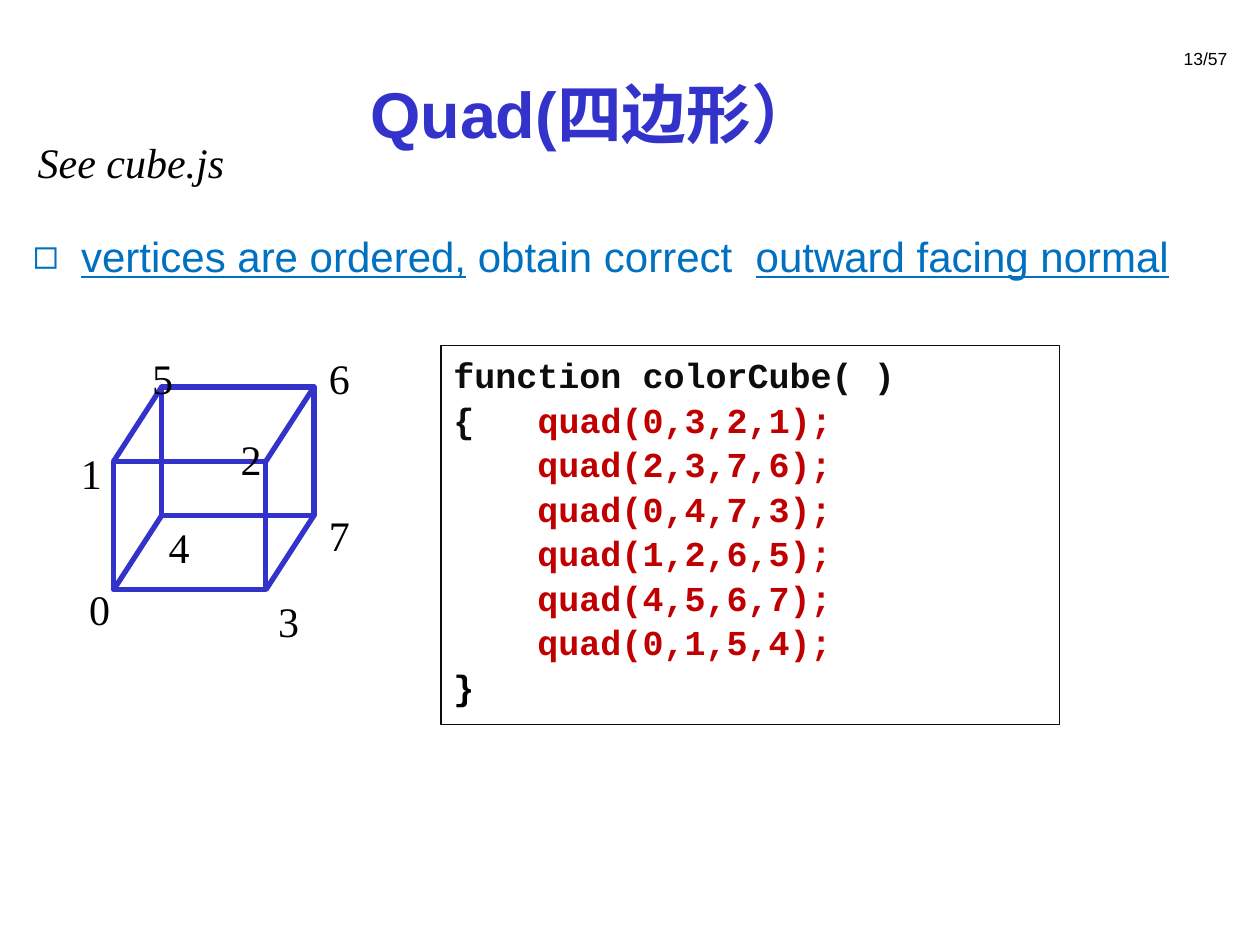
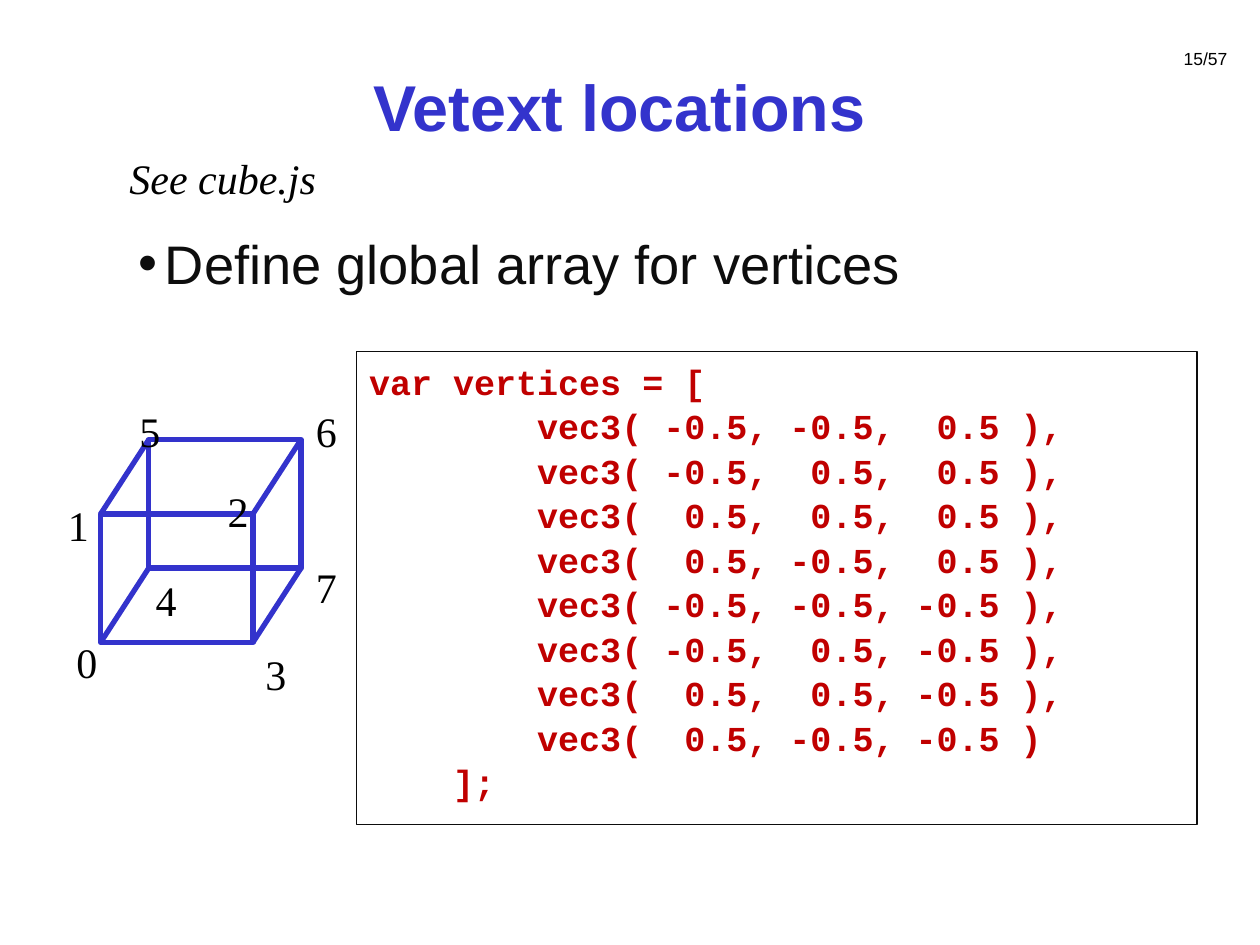
from lxml.etree import SubElement
from pptx import Presentation
from pptx.dml.color import RGBColor
from pptx.enum.shapes import MSO_CONNECTOR as CONNECTOR, MSO_SHAPE as SHAPE
from pptx.enum.text import MSO_ANCHOR as ANCHOR, MSO_AUTO_SIZE as AUTO_SIZE, PP_ALIGN as ALIGN
from pptx.oxml.ns import qn
from pptx.util import Cm, Pt

# Shared colours and text formats
BLUE = RGBColor(0x33, 0x33, 0xCC)
BRIGHT_BLUE = RGBColor(0x00, 0x70, 0xC0)
RED = RGBColor(0xC0, 0x00, 0x00)
DARK = RGBColor(0x0D, 0x0D, 0x0D)
BLACK = RGBColor(0, 0, 0)

TITLE = {"name": "Arial", "size": Pt(37), "bold": True, "color": BLUE}
PAGE = {"name": "Arial", "size": Pt(10), "color": BLACK}
LABEL = {"name": "Times New Roman", "size": Pt(24), "color": BLACK}
REFERENCE = {**LABEL, "italic": True}
CODE = {"name": "Courier New", "size": Pt(20), "bold": True, "color": DARK}
RED_CODE = {**CODE, "color": RED}
BLACK_CODE = {**CODE, "color": BLACK}
POINT = {"name": "Arial", "size": Pt(24), "color": BRIGHT_BLUE}
KEY_POINT = {**POINT, "underline": True}
LARGE_POINT = {"name": "Arial", "size": Pt(31), "color": DARK}

# Cube measures in cm, from the top left corner of the front face
CUBE_WIDTH, CUBE_HEIGHT = 3.07, 2.59
DEPTH_X, DEPTH_Y = 0.97, -1.5
VERTEX_LABELS = {
    "0": (-0.74, 2.34), "1": (-0.91, -0.41), "2": (2.31, -0.69), "3": (3.07, 2.59),
    "4": (0.86, 1.09), "5": (0.53, -2.31), "6": (4.09, -2.31), "7": (4.09, 0.84),
}

QUAD_CODE = [
    [("function colorCube( )", CODE)],
    [("{   ", CODE), ("quad(0,3,2,1);", RED_CODE)],
    [("    quad(2,3,7,6);", RED_CODE)],
    [("    quad(0,4,7,3);", RED_CODE)],
    [("    quad(1,2,6,5);", RED_CODE)],
    [("    quad(4,5,6,7);", RED_CODE)],
    [("    quad(0,1,5,4);", RED_CODE)],
    [("}", BLACK_CODE)],
]
VERTEX_CODE = """var vertices = [
        vec3( -0.5, -0.5,  0.5 ),
        vec3( -0.5,  0.5,  0.5 ),
        vec3(  0.5,  0.5,  0.5 ),
        vec3(  0.5, -0.5,  0.5 ),
        vec3( -0.5, -0.5, -0.5 ),
        vec3( -0.5,  0.5, -0.5 ),
        vec3(  0.5,  0.5, -0.5 ),
        vec3(  0.5, -0.5, -0.5 )
    ];"""


def lengths(*values):
    return [Cm(value) for value in values]


def place(shape, box):
    for name, value in zip(("left", "top", "width", "height"), lengths(*box)):
        setattr(shape, name, value)


def add_runs(paragraph, runs):
    for text, formats in runs:
        run = paragraph.add_run()
        run.text = text
        for name, value in formats.items():
            if name == "color":
                run.font.color.rgb = value
            else:
                setattr(run.font, name, value)


def add_text(shapes, box, text, formats, wrap=False):
    shape = shapes.add_textbox(*lengths(*box))
    shape.text_frame.word_wrap = wrap
    add_runs(shape.text_frame.paragraphs[0], [(text, formats)])
    return shape


def add_title(slide, box, text):
    title = slide.shapes.title
    place(title, box)
    frame = title.text_frame
    frame.auto_size = AUTO_SIZE.NONE
    frame.vertical_anchor = ANCHOR.MIDDLE
    frame.paragraphs[0].alignment = ALIGN.CENTER
    add_runs(frame.paragraphs[0], [(text, TITLE)])


def add_bullet(slide, box, mark, indent, runs):
    body = slide.placeholders[1]
    place(body, box)
    body.text_frame.auto_size = AUTO_SIZE.NONE
    paragraph = body.text_frame.paragraphs[0]
    paragraph.space_before = Pt(0)
    properties = paragraph._p.get_or_add_pPr()
    properties.set("marL", str(Cm(indent)))
    properties.set("indent", str(-Cm(indent)))
    SubElement(properties, qn("a:buFont"), typeface="Arial")
    SubElement(properties, qn("a:buChar"), char=mark)
    add_runs(paragraph, runs)


def add_page_number(slide, number):
    shape = add_text(slide.shapes, (23.29, 0.64, 1.7, 1.07), f"{number}/57", PAGE, wrap=True)
    shape.text_frame.vertical_anchor = ANCHOR.MIDDLE
    shape.text_frame.paragraphs[0].alignment = ALIGN.RIGHT


def add_outline(shapes, box, color, weight):
    shape = shapes.add_shape(SHAPE.RECTANGLE, *lengths(*box))
    shape.shadow.inherit = False
    shape.fill.background()
    shape.line.color.rgb = color
    shape.line.width = Pt(weight)
    return shape


def add_code(slide, box, lines):
    frame = add_outline(slide.shapes, box, DARK, 0.75).text_frame
    frame.word_wrap = True
    frame.vertical_anchor = ANCHOR.TOP
    for index, runs in enumerate(lines):
        paragraph = frame.add_paragraph() if index else frame.paragraphs[0]
        paragraph.alignment = ALIGN.LEFT
        paragraph.line_spacing = 1.06
        add_runs(paragraph, runs)


def add_edge(shapes, start, end):
    edge = shapes.add_connector(CONNECTOR.STRAIGHT, *lengths(*start, *end))
    edge.line.color.rgb = BLUE
    edge.line.width = Pt(3)
    SubElement(edge._element.spPr, qn("a:effectLst"))


def add_cube(slide, left, top):
    shapes = slide.shapes.add_group_shape().shapes
    # Front and back faces
    for x, y in ((left, top), (left + DEPTH_X, top + DEPTH_Y)):
        add_outline(shapes, (x, y, CUBE_WIDTH, CUBE_HEIGHT), BLUE, 3)
    # Edges that join the corners of the faces
    for x in (left, left + CUBE_WIDTH):
        for y in (top, top + CUBE_HEIGHT):
            add_edge(shapes, (x + DEPTH_X, y + DEPTH_Y), (x, y))
    # Vertex numbers
    for number, (x, y) in VERTEX_LABELS.items():
        add_text(shapes, (left + x, top + y, 0.91, 1.27), number, LABEL)


def add_quad_slide(presentation):
    slide = presentation.slides.add_slide(presentation.slide_layouts[1])
    add_title(slide, (3.28, 0.79, 17.35, 2.97), "Quad(四边形）")
    add_code(slide, (8.89, 6.96, 12.47, 7.65), QUAD_CODE)
    add_cube(slide, 2.29, 9.3)
    add_bullet(slide, (0.41, 4.52, 24.13, 2.29), "◻", 0.97, [
        ("vertices are ordered,", KEY_POINT),
        (" obtain correct  ", POINT),
        ("outward facing normal", KEY_POINT),
    ])
    add_text(slide.shapes, (0.51, 2.62, 4.27, 1.27), "See cube.js", REFERENCE)
    add_page_number(slide, 13)


def add_vertex_slide(presentation):
    slide = presentation.slides.add_slide(presentation.slide_layouts[1])
    add_title(slide, (3.81, 0.64, 17.35, 2.97), "Vetext locations")
    add_bullet(slide, (2.54, 4.52, 21.59, 2.11), "•", 0.53,
               [("Define global array for vertices", LARGE_POINT)])
    add_code(slide, (7.19, 7.09, 16.94, 9.53),
             [[(line, RED_CODE)] for line in VERTEX_CODE.splitlines()])
    add_text(slide.shapes, (2.36, 2.95, 4.7, 1.27), "See cube.js", REFERENCE)
    add_cube(slide, 2.03, 10.36)
    add_page_number(slide, 15)


def main():
    presentation = Presentation()
    presentation.slide_width, presentation.slide_height = lengths(25.4, 19.05)
    add_quad_slide(presentation)
    add_vertex_slide(presentation)
    presentation.save("out.pptx")


if __name__ == "__main__":
    main()
